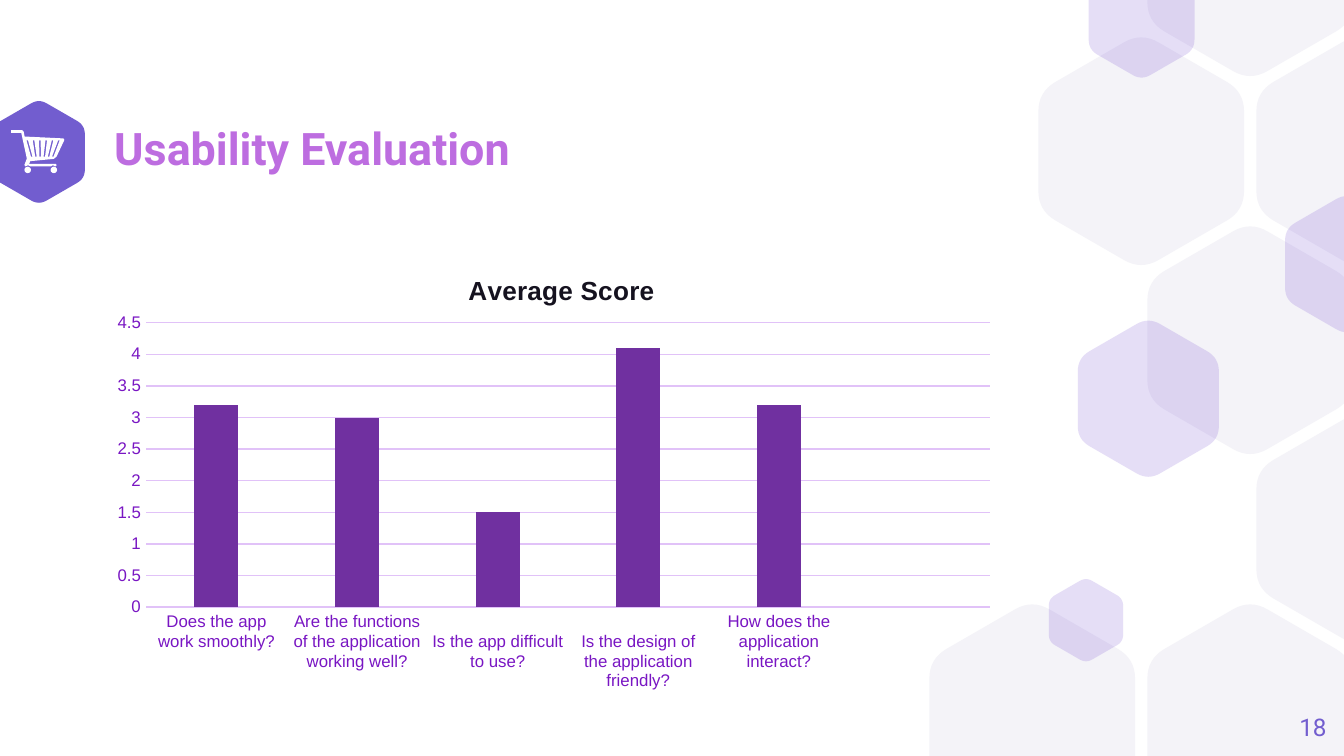
import math
from dataclasses import dataclass

from lxml import etree
from pptx import Presentation
from pptx.chart.data import CategoryChartData
from pptx.dml.color import RGBColor
from pptx.enum.chart import XL_CHART_TYPE, XL_TICK_MARK
from pptx.enum.shapes import MSO_SHAPE
from pptx.enum.text import MSO_ANCHOR, PP_ALIGN
from pptx.oxml import parse_xml
from pptx.oxml.ns import nsdecls, qn
from pptx.util import Pt

COLUMNS = XL_CHART_TYPE.COLUMN_CLUSTERED
NO_TICK = XL_TICK_MARK.NONE
OVAL = MSO_SHAPE.OVAL
MIDDLE = MSO_ANCHOR.MIDDLE
RIGHT = PP_ALIGN.RIGHT
TITLE_ONLY = 5
PAGE_WIDTH, PAGE_HEIGHT = 720, 405


@dataclass(frozen=True)
class Theme:
    heading_font: str = "Roboto"
    chart_font: str = "Arial"
    heading: str = "BD6DE0"
    accent: str = "725DCF"
    honeycomb: str = "F4F3F8"
    overlay: str = "5322C9"
    white: str = "FFFFFF"
    bar: str = "7030A0"
    grid: str = "E1C2F8"
    axis_text: str = "7916C3"
    chart_title: str = "15121F"
    heading_size: float = 24
    number_size: float = 13
    chart_title_size: float = 14
    axis_size: float = 9


THEME = Theme()
HONEYCOMB_CELLS = [(0, 4), (2, 4), (3, 1), (2, 0), (2, 2), (1, 1), (3, 3)]
OVERLAYS = [(721.4, 141.5, 65.9), (581.8, 332.3, 39.8),
            (611.6, 10.2, 56.7), (615.2, 213.6, 75.6)]
CART_OUTLINE = [
    (5.9, 69.8), (11.9, 69.8), (12.7, 70.5), (13.2, 73.2), (34, 74.2),
    (34.5, 75), (30.3, 84), (28.8, 85.2), (16.2, 86.4), (15.6, 87.8),
    (29.8, 87.8), (30.4, 88.5), (29.8, 89.2), (28.3, 88.6), (27.3, 89.2),
    (16.4, 89.2), (15, 88.6), (13.5, 89.2), (13.1, 88.4), (14.4, 85),
    (11.4, 71.3), (5.9, 71.3),
]
SCORES = [
    ("Does the app work smoothly?", 3.2),
    ("Are the functions of the application working well?", 3),
    ("\nIs the app difficult to use?", 1.5),
    ("\nIs the design of the application friendly?", 4.1),
    ("How does the application interact?", 3.2),
    ("", None),
]


def style_font(font, name, size, color, bold=False):
    font.name = name
    font.size = Pt(size)
    font.bold = bold
    font.color.rgb = RGBColor.from_string(color)


def paint(shape, color, alpha=None):
    """Give a flat fill without outline; alpha is a percentage."""
    shape.shadow.inherit = False
    shape.line.fill.background()
    shape.fill.solid()
    shape.fill.fore_color.rgb = RGBColor.from_string(color)
    if alpha is not None:
        swatch = shape._element.spPr.find(".//" + qn("a:srgbClr"))
        etree.SubElement(swatch, qn("a:alpha"), val=str(alpha * 1000))


def add_outline(page, contours, color, alpha=None):
    """Draw closed contours as one shape; inner contours become holes."""
    contours = [[(Pt(x), Pt(y)) for x, y in contour] for contour in contours]
    builder = page.shapes.build_freeform(*contours[0][0])
    builder.add_line_segments(contours[0][1:], close=True)
    for contour in contours[1:]:
        builder.move_to(*contour[0])
        builder.add_line_segments(contour[1:], close=True)
    paint(builder.convert_to_shape(), color, alpha)


def add_hexagon(page, center_x, center_y, width, color, alpha=None):
    """Draw a rounded upright hexagon, cut at the page's top and bottom."""
    radius = width / math.sqrt(3)
    corners = [(center_x + radius * math.sin(math.radians(60 * i)),
                center_y - radius * math.cos(math.radians(60 * i)))
               for i in range(6)]
    points = []
    for i, (x, y) in enumerate(corners):
        before, after = corners[i - 1], corners[(i + 1) % 6]
        for step in range(9):
            t = step / 8
            back, ahead = (1 - t) ** 2 / 6, t ** 2 / 6
            point_x = x + back * (before[0] - x) + ahead * (after[0] - x)
            point_y = y + back * (before[1] - y) + ahead * (after[1] - y)
            points.append((point_x, min(max(point_y, 0), PAGE_HEIGHT)))
    add_outline(page, [points], color, alpha)


def add_cart(page):
    slots = []
    for i in range(6):
        top, bottom = 14.6 + 3.4 * i, 17 + 2.26 * i
        slots.append([(top - 0.4, 75.2), (bottom - 0.4, 83.9),
                      (bottom + 0.4, 83.9), (top + 0.4, 75.2)])
    add_outline(page, [CART_OUTLINE] + slots, THEME.white)
    for left in (13.1, 27.1):
        wheel = page.shapes.add_shape(OVAL, Pt(left), Pt(89.3), Pt(3.5), Pt(3.5))
        paint(wheel, THEME.white)


def fill_text(box, text, size, color, bold=False):
    frame = box.text_frame
    frame.word_wrap = True
    frame.vertical_anchor = MIDDLE
    frame.margin_left = frame.margin_right = 0
    frame.margin_top = frame.margin_bottom = 0
    frame.text = text
    para = frame.paragraphs[0]
    style_font(para.font, THEME.heading_font, size, color, bold)
    return para


def add_title(page, text):
    title = page.shapes.title
    title.left, title.top = Pt(61.2), Pt(65.5)
    title.width, title.height = Pt(473), Pt(31)
    para = fill_text(title, text, THEME.heading_size, THEME.heading, True)
    para.alignment = PP_ALIGN.LEFT
    para.line_spacing = 0.9


def add_page_number(page, number):
    box = page.shapes.add_textbox(Pt(667.5), Pt(373.7), Pt(43.2), Pt(31))
    para = fill_text(box, number, THEME.number_size, THEME.accent)
    para.alignment = RIGHT


def set_layout(element, **fractions):
    """Place a chart part by fractions of the chart's size."""
    old = element.find(qn("c:layout"))
    if old is not None:
        element.remove(old)
    target = '<c:layoutTarget val="inner"/>' if "w" in fractions else ""
    modes = "".join(f'<c:{key}Mode val="edge"/>' for key in "xy")
    values = "".join(f'<c:{key} val="{value}"/>' for key, value in fractions.items())
    layout = parse_xml(f'<c:layout {nsdecls("c")}><c:manualLayout>{target}'
                       f'{modes}{values}</c:manualLayout></c:layout>')
    text = element.find(qn("c:tx"))
    element.insert(0 if text is None else 1, layout)


def style_line(line):
    line.color.rgb = RGBColor.from_string(THEME.grid)
    line.width = Pt(0.75)


def add_score_chart(page):
    data = CategoryChartData()
    data.categories = [question for question, _ in SCORES]
    data.add_series("Series 1", [score for _, score in SCORES])
    chart = page.shapes.add_chart(COLUMNS, Pt(54), Pt(131.8), Pt(486),
                                  Pt(241.9), data).chart
    chart.has_legend = False
    style_font(chart.font, THEME.chart_font, THEME.axis_size, THEME.axis_text)

    chart.has_title = True
    chart.chart_title.text_frame.text = "Average Score"
    style_font(chart.chart_title.text_frame.paragraphs[0].font, THEME.chart_font,
               THEME.chart_title_size, THEME.chart_title, True)
    set_layout(chart.chart_title._element, x=0.4, y=0.05)
    set_layout(chart._chartSpace.chart.plotArea, x=0.05, y=0.17, w=0.93, h=0.63)

    plot = chart.plots[0]
    plot.vary_by_categories = False
    plot.gap_width = 219
    plot.overlap = -43
    bars = plot.series[0].format.fill
    bars.solid()
    bars.fore_color.rgb = RGBColor.from_string(THEME.bar)

    for axis in (chart.category_axis, chart.value_axis):
        axis.major_tick_mark = axis.minor_tick_mark = NO_TICK
        style_font(axis.tick_labels.font, THEME.chart_font, THEME.axis_size,
                   THEME.axis_text)
    style_line(chart.category_axis.format.line)
    values = chart.value_axis
    values.minimum_scale, values.maximum_scale = 0, 4.5
    values.major_unit = 0.5
    values.format.line.fill.background()
    style_line(values.major_gridlines.format.line)


def main():
    deck = Presentation()
    deck.slide_width, deck.slide_height = Pt(PAGE_WIDTH), Pt(PAGE_HEIGHT)
    page = deck.slides.add_slide(deck.slide_layouts[TITLE_ONLY])
    for column, row in HONEYCOMB_CELLS:
        add_hexagon(page, 553 + 58.4 * column, -20.2 + 101.25 * row, 110.2,
                    THEME.honeycomb)
    for center_x, center_y, width in OVERLAYS:
        add_hexagon(page, center_x, center_y, width, THEME.overlay, alpha=15)
    add_hexagon(page, 20.9, 81.4, 49.2, THEME.accent)
    add_cart(page)
    add_title(page, "Usability Evaluation")
    add_page_number(page, "18")
    add_score_chart(page)
    deck.save("out.pptx")


if __name__ == "__main__":
    main()
